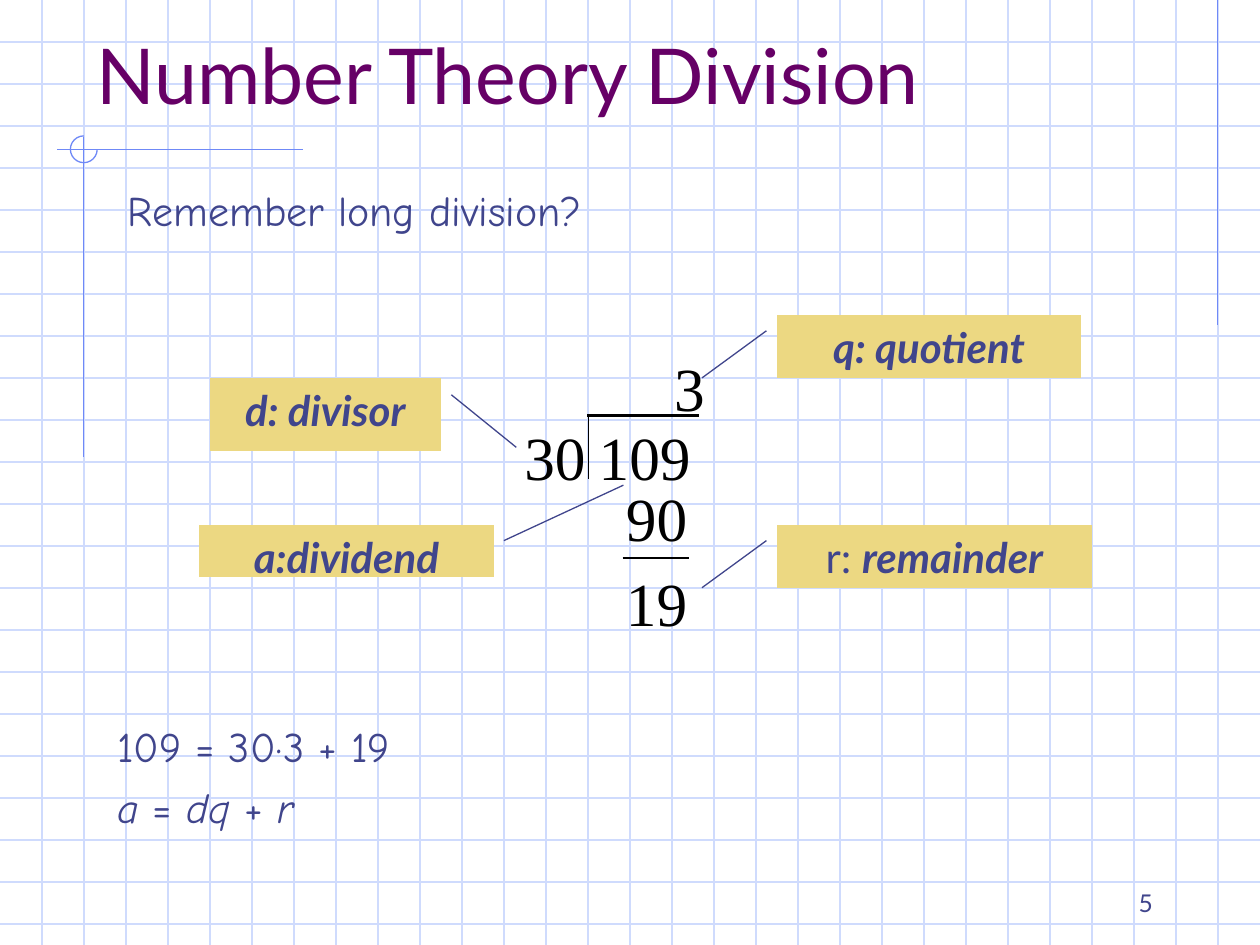
"""Build the long division slide on graph paper."""
import pptx
import pptx.util
import pptx.dml.color
import pptx.enum.shapes
import pptx.enum.text
import pptx.oxml.ns
from lxml import etree

Cm = pptx.util.Cm
SHAPE = pptx.enum.shapes.MSO_SHAPE
ALIGN = pptx.enum.text.PP_ALIGN
ANCHOR = pptx.enum.text.MSO_ANCHOR

COLORS = {"grid": "CFDBFD", "accent": "6F89F7", "ink": "40458C",
          "title": "660066", "label": "ECD882", "sum": "000000"}
WIDTH, HEIGHT = 25.4, 19.05
GRID_STEP = WIDTH / 30
PADDING = (0.25, 0.13)

TITLE = "Number Theory Division"
QUESTION = "Remember long division?"
PAGE_NUMBER = "5"
EQUATIONS = [
    [("109 = 30·3 + 19", "")],
    [("a ", "i"), ("= ", ""), ("dq ", "i"), ("+", ""), (" r", "i")],
]
ACCENT_LINES = [
    (24.55, 0, 24.55, 6.55),
    (6.1, 3.02, 1.14, 3.02),
    (1.69, 2.77, 1.69, 9.22),
]
SUM_NUMBERS = [
    ("3", 13.59, 7.06, 0.61),
    ("30", 10.57, 8.46, 1.24),
    ("109", 12.07, 8.46, 1.85),
    ("90", 12.62, 9.68, 1.24),
    ("19", 12.62, 11.4, 1.24),
]
SUM_LINES = [
    ((11.84, 8.38, 14.1, 8.38), 1.5),
    ((11.86, 8.38, 11.86, 9.65), 0.75),
    ((12.55, 11.25, 13.89, 11.25), 1.5),
]
CALLOUTS = [
    ([("q: quotient", "bi")], (15.66, 6.35, 6.14, 1.27), (14.15, 7.62), (15.45, 6.67)),
    ([("r: ", ""), ("remainder", "bi")], (15.66, 10.58, 6.35, 1.27), (14.15, 11.85), (15.45, 10.9)),
    ([("d: divisor", "bi")], (4.23, 7.62, 4.66, 1.48), (10.41, 9.02), (9.1, 7.96)),
    ([("a:dividend", "bi")], (4.02, 10.58, 5.93, 1.06), (12.57, 9.78), (10.16, 10.9)),
]


def color(name):
    return pptx.dml.color.RGBColor.from_string(COLORS[name])


def write(box, paragraphs, font="Lato", size=24, ink="ink", align=ALIGN.LEFT,
          anchor=ANCHOR.TOP, padding=PADDING, wrap=True, gap=0):
    frame = box.text_frame
    frame.word_wrap = wrap
    frame.auto_size = pptx.enum.text.MSO_AUTO_SIZE.NONE
    frame.vertical_anchor = anchor
    frame.margin_left = frame.margin_right = Cm(padding[0])
    frame.margin_top = frame.margin_bottom = Cm(padding[1])
    for index, spans in enumerate(paragraphs):
        para = frame.add_paragraph() if index else frame.paragraphs[0]
        para.alignment = align
        para.space_before = pptx.util.Pt(gap if index else 0)
        for text, style in spans:
            span = para.add_run()
            span.text = text
            span.font.name = font
            span.font.size = pptx.util.Pt(size)
            span.font.color.rgb = color(ink)
            span.font.bold = "b" in style
            span.font.italic = "i" in style


def add_text(page, place, paragraphs, **style):
    write(page.shapes.add_textbox(*map(Cm, place)), paragraphs, **style)


def add_line(page, ends, ink, width=0.75):
    line = page.shapes.add_connector(pptx.enum.shapes.MSO_CONNECTOR.STRAIGHT, *map(Cm, ends))
    line.line.color.rgb = color(ink)
    line.line.width = pptx.util.Pt(width)
    properties = line.element.find(pptx.oxml.ns.qn("p:spPr"))
    etree.SubElement(properties, pptx.oxml.ns.qn("a:effectLst"))


def add_shape(page, kind, place, ink):
    shape = page.shapes.add_shape(kind, *map(Cm, place))
    shape.shadow.inherit = False
    shape.line.color.rgb = color(ink)
    shape.line.width = pptx.util.Pt(0.75)
    return shape


def add_background(page):
    for row in range(1, int(HEIGHT / GRID_STEP) + 1):
        add_line(page, (0, row * GRID_STEP, WIDTH, row * GRID_STEP), "grid")
    for column in range(1, 30):
        add_line(page, (column * GRID_STEP, 0, column * GRID_STEP, HEIGHT), "grid")
    for ends in ACCENT_LINES:
        add_line(page, ends, "accent")
    arc = add_shape(page, SHAPE.ARC, (1.42, 2.74, 0.54, 0.54), "accent")
    arc.fill.background()
    arc.adjustments[0] = 0
    arc.adjustments[1] = 162


def add_title(page):
    title = page.shapes.title
    title.left, title.top, title.width, title.height = map(Cm, (1.69, 0.85, 22.86, 1.69))
    write(title, [[(TITLE, "")]], size=44, ink="title", anchor=ANCHOR.BOTTOM)
    page.shapes.element.append(title.element)


def add_callout(page, spans, place, start, end):
    left, top, width, height = place
    callout = add_shape(page, SHAPE.LINE_CALLOUT_1_NO_BORDER, place, "ink")
    callout.fill.solid()
    callout.fill.fore_color.rgb = color("label")
    for index, (x, y) in enumerate((start, end)):
        callout.adjustments[2 * index] = (y - top) / height
        callout.adjustments[2 * index + 1] = (x - left) / width
    write(callout, [spans], align=ALIGN.CENTER)


def main():
    deck = pptx.Presentation()
    deck.slide_width, deck.slide_height = Cm(WIDTH), Cm(HEIGHT)
    page = deck.slides.add_slide(deck.slide_layouts[5])
    add_background(page)
    add_text(page, (18.2, 17.99, 5.29, 0.64), [[(PAGE_NUMBER, "")]], size=14,
             align=ALIGN.RIGHT, anchor=ANCHOR.BOTTOM)
    add_title(page)
    add_text(page, (2.33, 3.6, 21.59, 13.76), [[(QUESTION, "")]], font="Comic Neue")
    for callout in CALLOUTS:
        add_callout(page, *callout)
    for number, left, top, width in SUM_NUMBERS:
        add_text(page, (left, top, width, 1.47), [[(number, "")]], font="Times New Roman",
                 size=35, ink="sum", padding=(0, 0), wrap=False)
    for ends, width in SUM_LINES:
        add_line(page, ends, "sum", width)
    add_text(page, (2.11, 14.4, 7.62, 2.51), EQUATIONS, font="Comic Neue", gap=6)
    deck.save("out.pptx")


if __name__ == "__main__":
    main()
